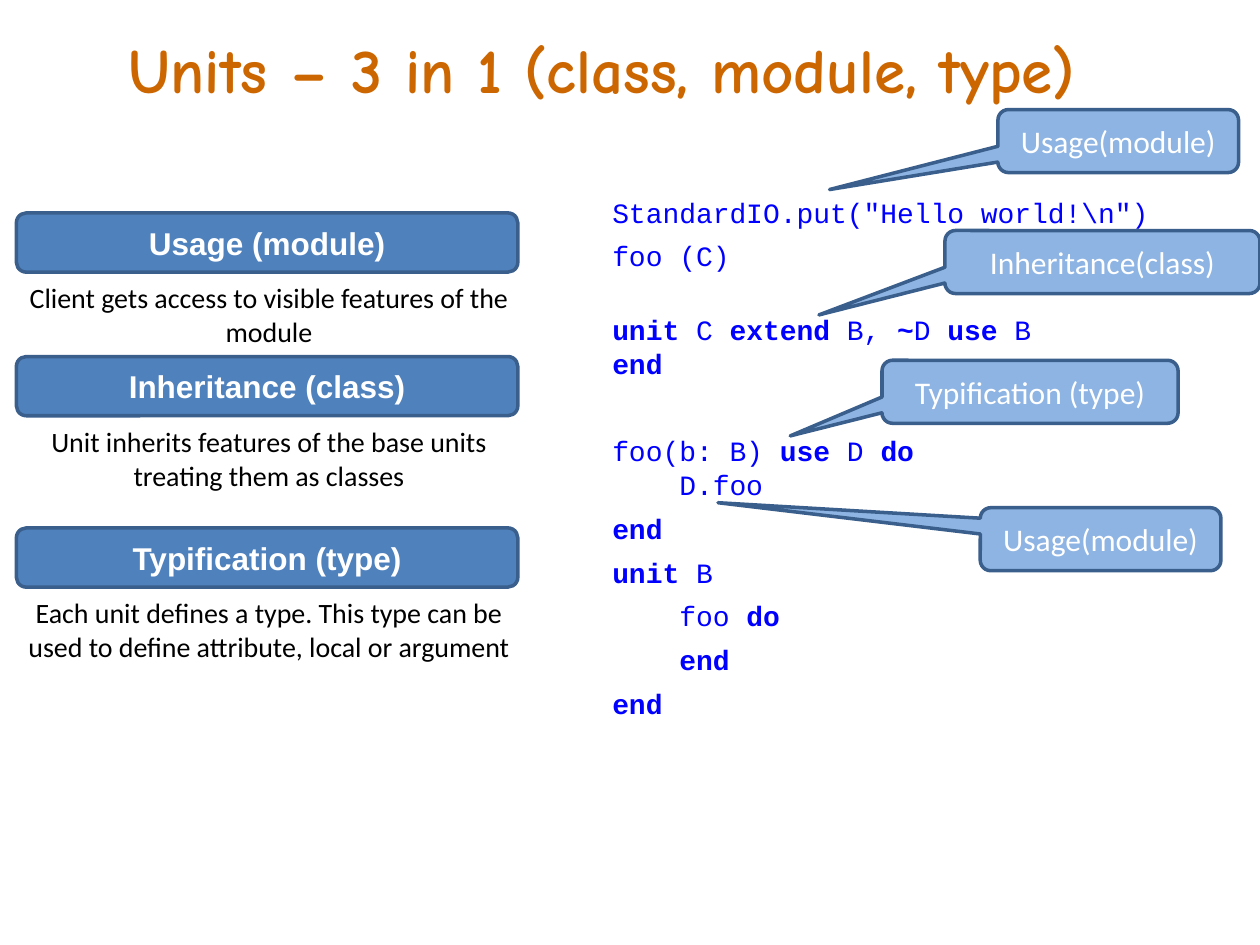
from dataclasses import dataclass

from pptx import Presentation
from pptx.dml.color import RGBColor
from pptx.enum.shapes import MSO_SHAPE
from pptx.enum.text import MSO_ANCHOR, MSO_AUTO_SIZE, PP_ALIGN
from pptx.util import Inches, Pt

ROUND_RECT = MSO_SHAPE.ROUNDED_RECTANGLE
CALLOUT = MSO_SHAPE.ROUNDED_RECTANGULAR_CALLOUT
CENTER, LEFT = PP_ALIGN.CENTER, PP_ALIGN.LEFT
TOP, MIDDLE = MSO_ANCHOR.TOP, MSO_ANCHOR.MIDDLE
NO_AUTOFIT = MSO_AUTO_SIZE.NONE

COLORS = {"title": "CC6600", "header": "4F81BD", "callout": "8EB4E3",
          "line": "3A5F8C", "code": "0000FF", "white": "FFFFFF", "black": "000000"}
WIDTH, HEIGHT = Inches(10), Inches(7.5)
COLS, ROWS = 100, 75
LEFT_COL, LEFT_SPAN = 1.3, 39.8
HEADER_ROWS, NOTE_ROWS, CALLOUT_ROWS = 4.7, 6.4, 5
GAP = 5.8


@dataclass
class Role:
    row: float
    header: str
    note: str


@dataclass
class Callout:
    col: float
    row: float
    cols: float
    tip: tuple[float, float]
    text: str


@dataclass
class CodeBlock:
    text: str
    before: float = GAP


ROLES = [
    Role(16.9, "Usage (module)", "Client gets access to visible features of the module"),
    Role(28.3, "Inheritance (class)",
         "Unit inherits features of the base units treating them as classes"),
    Role(41.9, "Typification (type)",
         "Each unit defines a type. This type can be used to define attribute, local or argument"),
]
CALLOUTS = [
    Callout(79.2, 8.7, 19.1, (-1.2, 0.77), "Usage(module)"),
    Callout(75, 18.3, 25, (-0.9, 0.84), "Inheritance(class)"),
    Callout(70, 28.6, 23.5, (-0.81, 0.7), "Typification (type)"),
    Callout(77.8, 40.3, 19.1, (-1.59, -0.58), "Usage(module)"),
]
CODE = [
    CodeBlock('StandardIO.put("Hello world!\\n")', 0),
    CodeBlock("foo (C)"),
    CodeBlock("**unit** C **extend** B, **~**D **use** B\n**end**", 23),
    CodeBlock("foo(b: B) **use** D **do**\n    D.foo", 30.9),
    CodeBlock("**end**"),
    CodeBlock("**unit** B"),
    CodeBlock("    foo **do**"),
    CodeBlock("    **end**"),
    CodeBlock("**end**"),
]


def rgb(name: str) -> RGBColor:
    return RGBColor.from_string(COLORS[name])


def area(col: float, row: float, cols: float, rows: float) -> tuple[int, int, int, int]:
    return (int(WIDTH * col / COLS), int(HEIGHT * row / ROWS),
            int(WIDTH * cols / COLS), int(HEIGHT * rows / ROWS))


def style(p, face: str, size: float, color: str, bold=None, align=CENTER) -> None:
    p.alignment = align
    p.font.name, p.font.size, p.font.bold = face, Pt(size), bold
    p.font.color.rgb = rgb(color)


def add_box(s, kind, box: tuple, fill: str, text: str, face: str, bold: bool):
    sp = s.shapes.add_shape(kind, *box)
    sp.shadow.inherit = False
    sp.fill.solid()
    sp.fill.fore_color.rgb = rgb(fill)
    sp.line.color.rgb = rgb("line")
    sp.line.width = Pt(2)
    tf = sp.text_frame
    tf.word_wrap, tf.vertical_anchor = True, MIDDLE
    tf.text = text
    style(tf.paragraphs[0], face, 18, "white", bold)
    return sp


def add_text(s, box: tuple):
    tf = s.shapes.add_textbox(*box).text_frame
    tf.word_wrap = True
    tf.margin_left = tf.margin_right = 0
    return tf


def add_title(s, text: str) -> None:
    sp = s.shapes.title
    sp.left, sp.top, sp.width, sp.height = area(9.2, 1.9, 88.8, 6.4)
    tf = sp.text_frame
    tf.text = text
    tf.auto_size, tf.vertical_anchor = NO_AUTOFIT, TOP
    style(tf.paragraphs[0], "Comic Neue", 36, "title", True, LEFT)


def add_role(s, role: Role) -> None:
    sp = add_box(s, ROUND_RECT, area(LEFT_COL, role.row, LEFT_SPAN, HEADER_ROWS),
                 "header", role.header, "Arial", True)
    sp.text_frame.margin_left = sp.text_frame.margin_right = 0
    note_row = role.row + HEADER_ROWS + 0.2
    tf = add_text(s, area(LEFT_COL, note_row, LEFT_SPAN + 0.3, NOTE_ROWS))
    tf.text = role.note
    style(tf.paragraphs[0], "Calibri", 16, "black")


def add_code(s, blocks: list[CodeBlock]) -> None:
    tf = add_text(s, area(48.6, 15, 51.4, 42.7))
    for i, block in enumerate(blocks):
        p = tf.add_paragraph() if i else tf.paragraphs[0]
        p.space_before = Pt(block.before)
        for n, line in enumerate(block.text.split("\n")):
            if n:
                p.add_line_break()
            for k, part in enumerate(line.split("**")):
                if part:
                    r = p.add_run()
                    r.text, r.font.bold = part, k % 2 == 1
        style(p, "Courier New", 16, "code", align=LEFT)


def add_callout(s, c: Callout) -> None:
    sp = add_box(s, CALLOUT, area(c.col, c.row, c.cols, CALLOUT_ROWS),
                 "callout", c.text, "Calibri", False)
    sp.adjustments[0], sp.adjustments[1] = c.tip


def main() -> None:
    prs = Presentation()
    prs.slide_width, prs.slide_height = WIDTH, HEIGHT
    s = prs.slides.add_slide(prs.slide_layouts[5])
    add_title(s, "Units – 3 in 1 (class, module, type)")
    for role in ROLES:
        add_role(s, role)
    add_code(s, CODE)
    for callout in CALLOUTS:
        add_callout(s, callout)
    prs.save("out.pptx")


if __name__ == "__main__":
    main()
